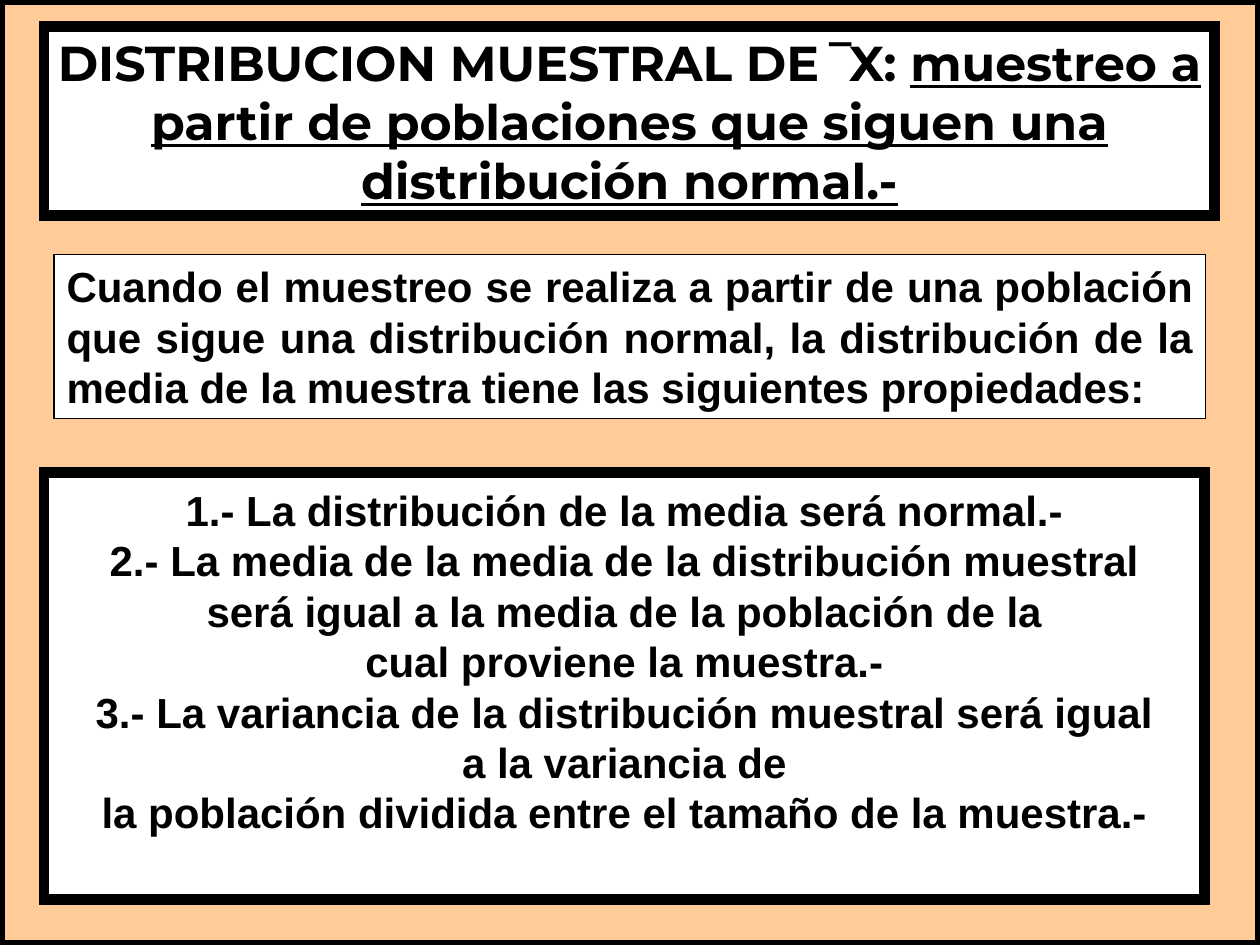
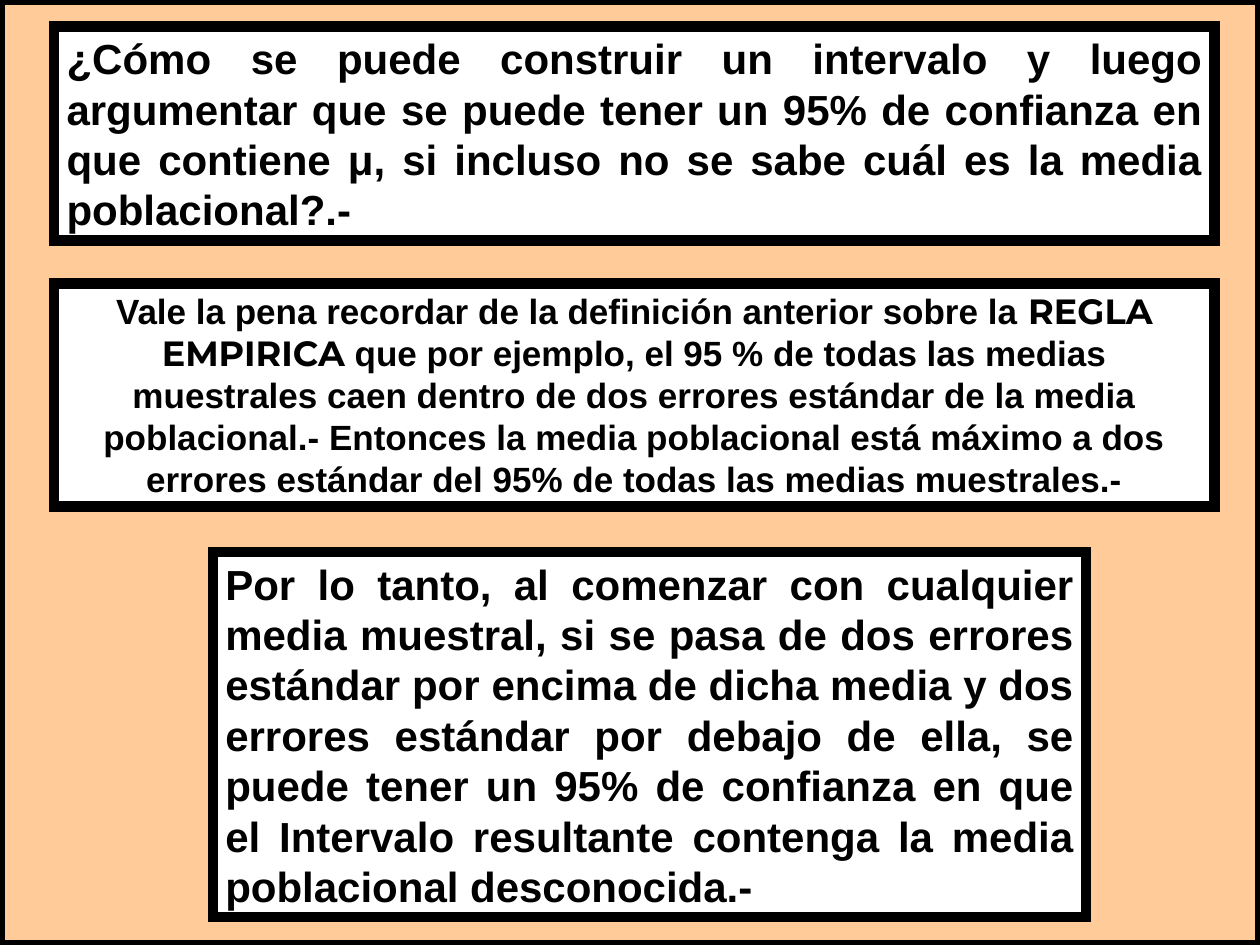
from lxml.etree import SubElement
from pptx import Presentation
from pptx.dml.color import RGBColor
from pptx.enum.shapes import MSO_SHAPE
from pptx.enum.text import MSO_ANCHOR, MSO_AUTO_SIZE, PP_ALIGN
from pptx.oxml.ns import qn
from pptx.util import Inches, Pt

WIDTH, HEIGHT = 10, 7.5
PEACH, WHITE, BLACK = "FFCC99", "FFFFFF", "000000"
BODY_FONT, ACCENT_FONT = "Arial", "Montserrat"
THICK, THIN = 6, 0.75


def color(hex_value):
    return RGBColor.from_string(hex_value)


class Deck:
    """Holds the presentation, its style and the current slide."""

    def __init__(self):
        self.presentation = Presentation()
        self.presentation.slide_width = Inches(WIDTH)
        self.presentation.slide_height = Inches(HEIGHT)
        self.slide = None

    def start_slide(self):
        """Add a blank slide with the framed peach backdrop."""
        self.slide = self.presentation.slides.add_slide(self.presentation.slide_layouts[6])
        self.panel(0, 0, WIDTH, HEIGHT, fill=PEACH)

    def panel(self, left, top, width, height, fill=WHITE, border=THICK):
        panel = self.slide.shapes.add_shape(
            MSO_SHAPE.RECTANGLE, *(Inches(n) for n in (left, top, width, height)))
        panel.shadow.inherit = False
        panel.fill.solid()
        panel.fill.fore_color.rgb = color(fill)
        panel.line.color.rgb = color(BLACK)
        panel.line.width = Pt(border)
        outline = panel.line.fill._xPr
        SubElement(outline, qn("a:miter"), lim="800000")
        return panel

    def text_panel(self, box, paragraphs, size=24, align=PP_ALIGN.JUSTIFY,
                   border=THICK, **frame_format):
        """Each paragraph is a list of (text, run font format) pairs."""
        frame = self.panel(*box, border=border).text_frame
        frame_values = {
            "word_wrap": True,
            "auto_size": MSO_AUTO_SIZE.SHAPE_TO_FIT_TEXT,
            "vertical_anchor": MSO_ANCHOR.TOP,
            "margin_left": Inches(0.1),
            "margin_right": Inches(0.1),
            "margin_top": Inches(0.05),
            "margin_bottom": Inches(0.05),
        } | frame_format
        for name, value in frame_values.items():
            setattr(frame, name, value)
        for index, runs in enumerate(paragraphs):
            paragraph = frame.add_paragraph() if index else frame.paragraphs[0]
            paragraph.alignment = align
            for text, run_format in runs:
                self.run(paragraph, text, {"size": Pt(size)} | run_format)

    def run(self, paragraph, text, run_format):
        run = paragraph.add_run()
        run.text = text
        run.font.color.rgb = color(BLACK)
        for name, value in ({"name": BODY_FONT, "bold": True} | run_format).items():
            setattr(run.font, name, value)


def add_sampling_distribution(deck):
    accent = {"name": ACCENT_FONT}
    deck.start_slide()
    deck.text_panel((0.35, 0.21, 9.29, 1.5), [[
        ("DISTRIBUCION MUESTRAL DE ", accent),
        ("‾", {}),
        ("X: ", accent),
        ("muestreo a partir de poblaciones que siguen una distribución normal.-",
         accent | {"underline": True}),
    ]], size=28, align=PP_ALIGN.CENTER)
    deck.text_panel((0.43, 2.02, 9.14, 1.3), [[(
        "Cuando el muestreo se realiza a partir de una población que sigue una "
        "distribución normal, la distribución de la media de la muestra tiene las "
        "siguientes propiedades:", {})]], border=THIN)
    properties = [
        "1.- La distribución de la media será normal.-",
        "2.- La media de la media de la distribución muestral",
        "será igual a la media de la población de la",
        "cual proviene la muestra.-",
        "3.- La variancia de la distribución muestral será igual",
        "a la variancia de",
        "la población dividida entre el tamaño de la muestra.-",
    ]
    deck.text_panel((0.35, 3.75, 9.21, 3.39), [[(line, {})] for line in properties],
                    align=PP_ALIGN.CENTER, word_wrap=False,
                    auto_size=MSO_AUTO_SIZE.NONE, vertical_anchor=MSO_ANCHOR.MIDDLE,
                    margin_bottom=Inches(0.45))


def add_confidence_interval(deck):
    deck.start_slide()
    deck.text_panel((0.43, 0.21, 9.21, 1.7), [[(
        "¿Cómo se puede construir un intervalo y luego argumentar que se puede tener "
        "un 95% de confianza en que contiene μ, si incluso no se sabe cuál es la media "
        "poblacional?.-", {})]])
    deck.text_panel((0.43, 2.25, 9.21, 1.77), [[
        ("Vale la pena recordar de la definición anterior sobre la ", {}),
        ("REGLA EMPIRICA", {"name": ACCENT_FONT}),
        (" que por ejemplo, el 95 % de todas las medias muestrales caen dentro de dos "
         "errores estándar de la media poblacional.- Entonces la media poblacional está "
         "máximo a dos errores estándar del 95% de todas las medias muestrales.-", {}),
    ]], size=20, align=PP_ALIGN.CENTER)
    deck.text_panel((1.69, 4.38, 6.93, 2.9), [[(
        "Por lo tanto, al comenzar con cualquier media muestral, si se pasa de dos "
        "errores estándar por encima de dicha media y dos errores estándar por debajo "
        "de ella, se puede tener un 95% de confianza en que el Intervalo resultante "
        "contenga la media poblacional desconocida.-", {})]])


def main():
    deck = Deck()
    add_sampling_distribution(deck)
    add_confidence_interval(deck)
    deck.presentation.save("out.pptx")


if __name__ == "__main__":
    main()
